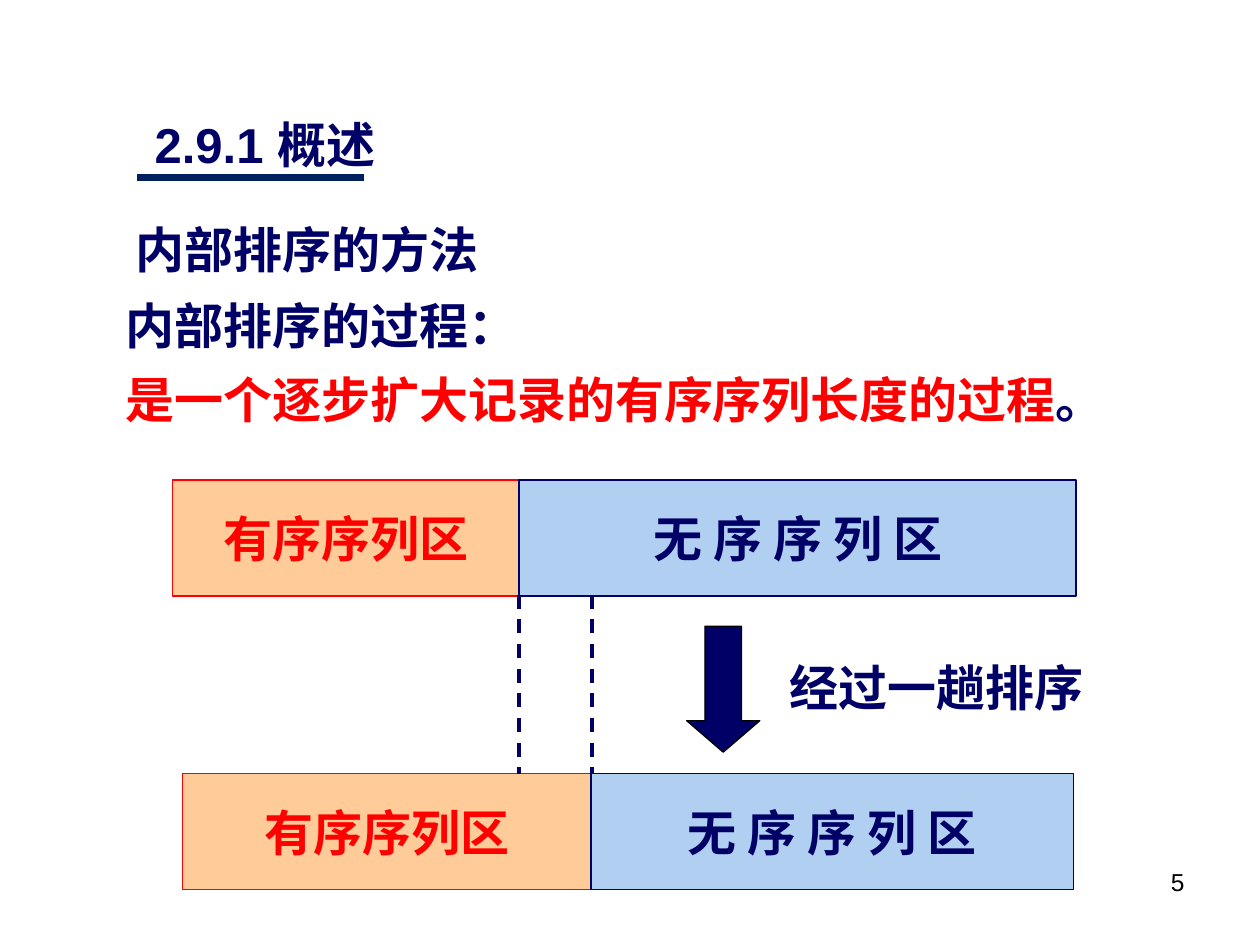
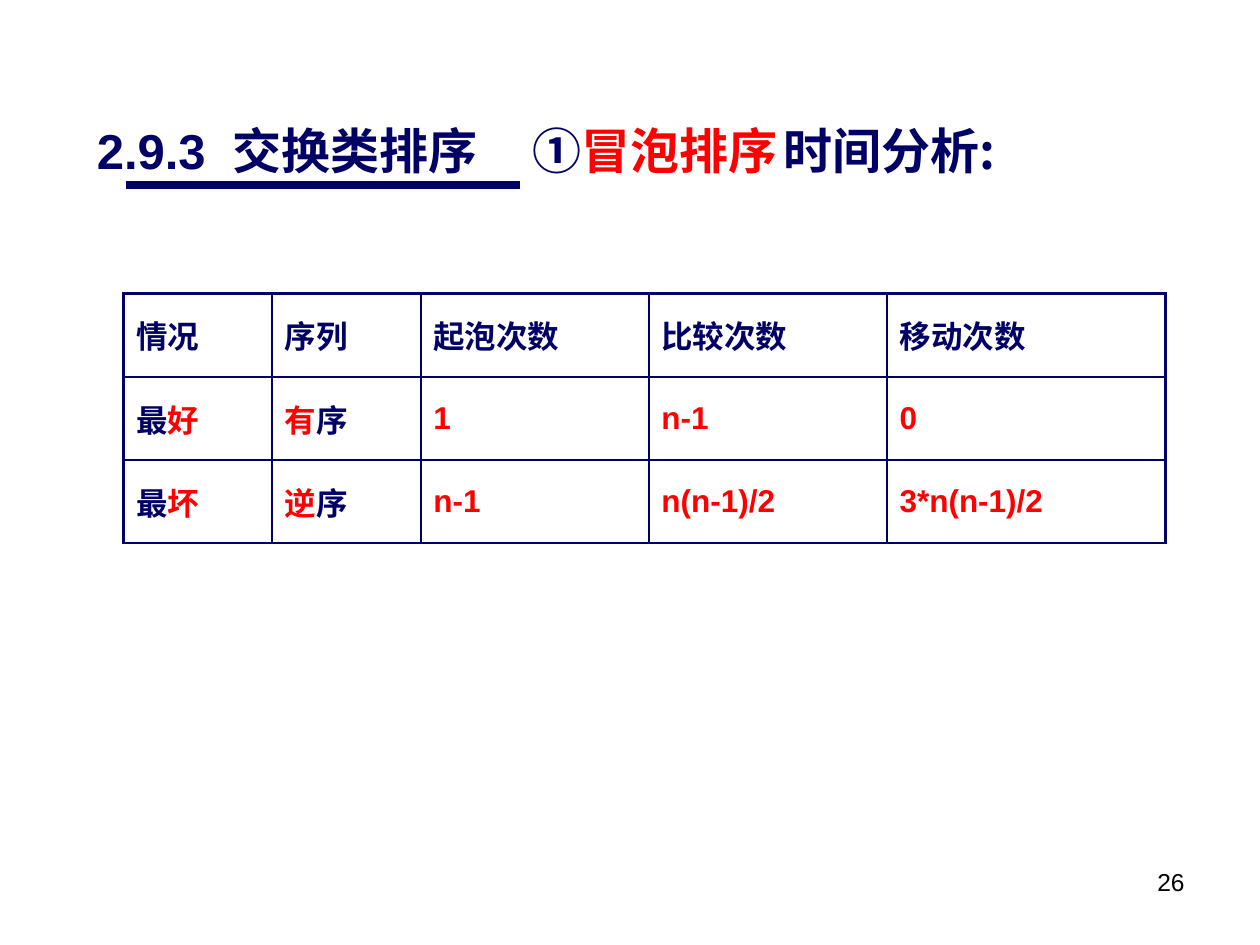
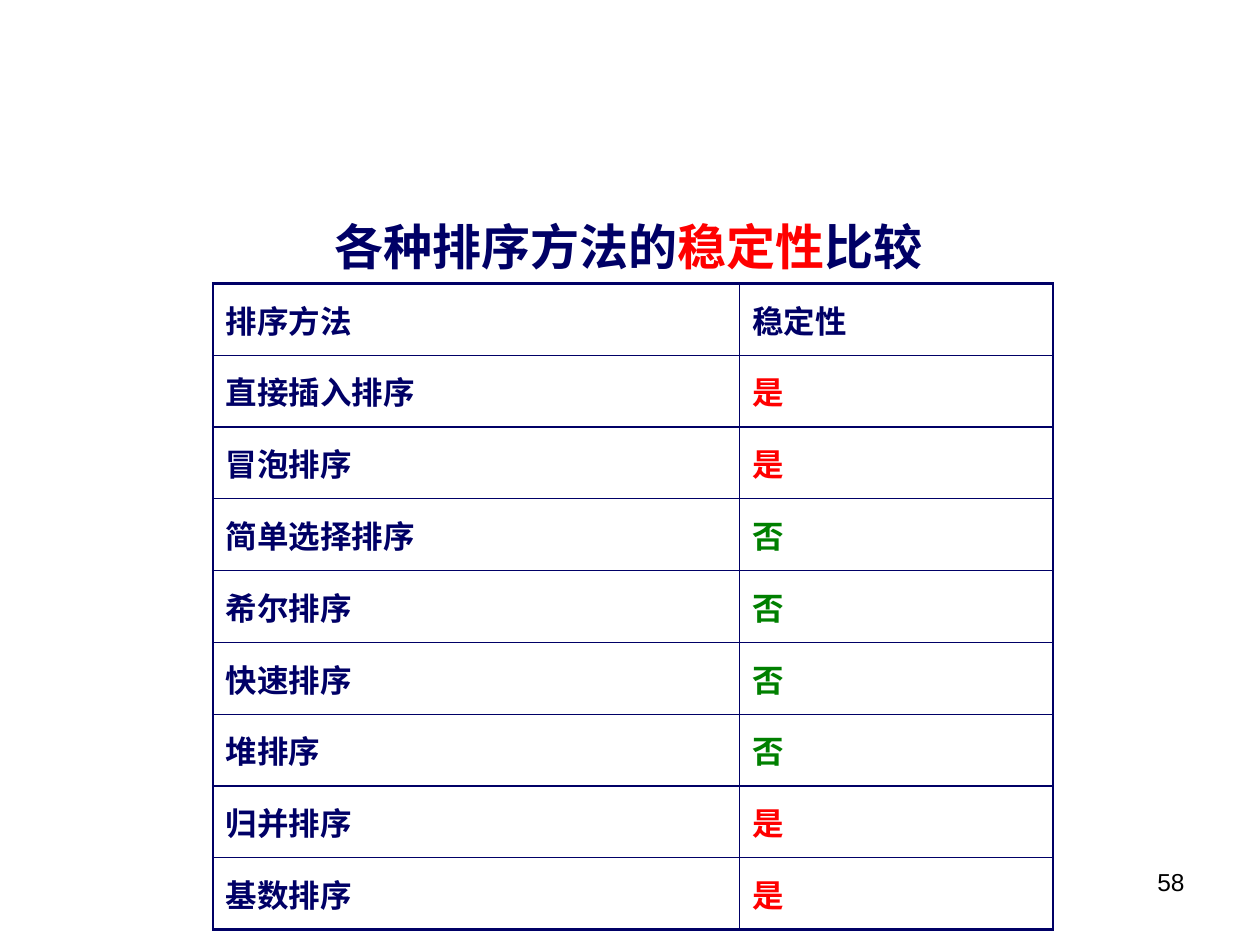
from lxml.etree import SubElement
from pptx import Presentation
from pptx.dml.color import RGBColor
from pptx.enum.dml import MSO_LINE
from pptx.enum.shapes import MSO_CONNECTOR, MSO_SHAPE
from pptx.enum.text import MSO_ANCHOR, PP_ALIGN
from pptx.oxml import parse_xml
from pptx.oxml.ns import nsdecls, qn
from pptx.util import Inches, Pt

HUES = {
    "navy": "000066",
    "rule": "002060",
    "red": "FF0000",
    "green": "008000",
    "peach": "FFCC99",
    "sky": "B1CFF1",
    "black": "000000",
}
ROMAN = "Times New Roman"
SANS = "Noto Sans CJK SC"


def hue(name):
    return RGBColor.from_string(HUES[name])


def place(*sides):
    return [Inches(side) for side in sides]


def write(para, text, tint="navy", size=28, face="Arial", bold=True):
    runs = [(text, tint)] if isinstance(text, str) else text
    font = para.font
    font.name, font.size, font.bold = face, Pt(size), bold
    mixed = len(runs) > 1
    for words, shade in runs:
        run = para.add_run()
        run.text = words
        target = run.font if mixed else font
        target.color.rgb = hue(shade)


def add_text(slide, spot, lines, space=None, align=None, anchor=MSO_ANCHOR.TOP, **style):
    frame = slide.shapes.add_textbox(*place(*spot)).text_frame
    frame.word_wrap = True
    frame.vertical_anchor = anchor
    for i, line in enumerate(lines):
        para = frame.add_paragraph() if i else frame.paragraphs[0]
        para.alignment = align
        para.line_spacing = space
        write(para, line, **style)


def add_shape(slide, kind, spot, fill, edge):
    shape = slide.shapes.add_shape(kind, *place(*spot))
    shape.shadow.inherit = False
    shape.fill.solid()
    shape.fill.fore_color.rgb = hue(fill)
    shape.line.color.rgb = hue(edge)
    shape.line.width = Pt(0.75)
    return shape


def add_zone(slide, spot, text, fill, tint, face):
    shape = add_shape(slide, MSO_SHAPE.RECTANGLE, spot, fill, tint)
    frame = shape.text_frame
    frame.word_wrap = False
    frame.vertical_anchor = MSO_ANCHOR.MIDDLE
    para = frame.paragraphs[0]
    para.alignment = PP_ALIGN.CENTER
    write(para, text, tint, face=face)


def add_bar(slide, left, top, split, right):
    high = 0.92
    add_zone(slide, (left, top, split - left, high), "有序序列区", "peach", "red", ROMAN)
    add_zone(slide, (split, top, right - split, high), "无 序 序 列 区", "sky", "navy", SANS)


def add_line(slide, start, end, tint="navy", width=4.25, dash=None):
    line = slide.shapes.add_connector(MSO_CONNECTOR.STRAIGHT, *place(*start, *end))
    line.line.color.rgb = hue(tint)
    line.line.width = Pt(width)
    line.line.dash_style = dash
    SubElement(line._element.spPr, qn("a:effectLst"))


def add_edges(cell, widths):
    props = cell._tc.get_or_add_tcPr()
    for i, (side, width) in enumerate(zip("LRTB", widths)):
        props.insert(i, parse_xml(
            f'<a:ln{side} {nsdecls("a")} w="{Pt(width)}"><a:solidFill>'
            f'<a:srgbClr val="{HUES["navy"]}"/></a:solidFill></a:ln{side}>'
        ))


def add_grid(slide, left, top, cols, high, rows, inner, outer=1.47):
    last, end = len(rows) - 1, len(cols) - 1
    spot = place(left, top, sum(cols), high * len(rows))
    table = slide.shapes.add_table(len(rows), len(cols), *spot).table
    table.first_row = table.horz_banding = False
    for col, wide in zip(table.columns, cols):
        col.width = Inches(wide)
    for r, row in enumerate(rows):
        table.rows[r].height = Inches(high)
        for c, text in enumerate(row):
            cell = table.cell(r, c)
            cell.fill.background()
            cell.vertical_anchor = MSO_ANCHOR.MIDDLE
            write(cell.text_frame.paragraphs[0], text, size=18)
            rims = c == 0, c == end, r == 0, r == last
            add_edges(cell, [outer if rim else inner for rim in rims])


def add_page(deck, number):
    slide = deck.slides.add_slide(deck.slide_layouts[6])
    add_text(slide, (7.17, 6.83, 2.33, 0.52), [str(number)], align=PP_ALIGN.RIGHT,
             tint="black", size=14, bold=False)
    return slide


def add_intro(deck):
    slide = add_page(deck, 5)
    steps = ["内部排序的过程：", [("是一个逐步扩大记录的有序序列长度的过程", "red"), ("。", "navy")]]
    add_text(slide, (0.9, 2.18, 8.11, 1.27), steps, space=1.25, face=ROMAN)
    add_text(slide, (6.17, 5.17, 2.77, 0.57), ["经过一趟排序"], face=ROMAN)
    add_bar(slide, 1.37, 3.81, 4.12, 8.54)
    add_bar(slide, 1.45, 6.14, 4.69, 8.52)
    arrow = add_shape(slide, MSO_SHAPE.DOWN_ARROW, (5.45, 4.97, 0.58, 1), "navy", "black")
    arrow.adjustments[1] = 0.43
    for x in (4.12, 4.7):
        add_line(slide, (x, 4.72), (x, 6.14), width=2, dash=MSO_LINE.DASH)
    add_text(slide, (0.98, 1.7, 3.15, 0.56), ["内部排序的方法"], anchor=MSO_ANCHOR.BOTTOM)
    add_text(slide, (1.13, 0.86, 3, 0.57), ["2.9.1 概述"])
    add_line(slide, (1.09, 1.41), (2.89, 1.41), "rule")


def add_bubble(deck):
    slide = add_page(deck, 26)
    top, high = 0.91, 0.57
    add_text(slide, (0.67, top, 3.39, high), ["2.9.3  交换类排序"])
    add_line(slide, (1, 1.47), (4.13, 1.47))
    add_text(slide, (4.13, top, 2.28, high), [[("①", "navy"), ("冒泡排序", "red")]])
    add_text(slide, (6.12, top, 2.08, high), ["时间分析:"], face=SANS)
    cases = [
        ([("最", "navy"), ("好", "red")], [("有", "red"), ("序", "navy")], "1", "n-1", "0"),
        ([("最", "navy"), ("坏", "red")], [("逆", "red"), ("序", "navy")],
         "n-1", "n(n-1)/2", "3*n(n-1)/2"),
    ]
    rows = [["情况", "序列", "起泡次数", "比较次数", "移动次数"]]
    for case in cases:
        rows.append([*case[:2], *([(cost, "red")] for cost in case[2:])])
    add_grid(slide, 0.98, 2.33, [1.18, 1.18, 1.81, 1.89, 2.21], 0.66, rows, 1.08)


def add_stable(deck):
    slide = add_page(deck, 58)
    title = [("各种排序方法的", "navy"), ("稳定性", "red"), ("比较", "navy")]
    add_text(slide, (2.56, 1.55, 5.28, 0.68), [title], space=1.25)
    sorts = [
        ("直接插入排序", True),
        ("冒泡排序", True),
        ("简单选择排序", False),
        ("希尔排序", False),
        ("快速排序", False),
        ("堆排序", False),
        ("归并排序", True),
        ("基数排序", True),
    ]
    rows = [["排序方法", "稳定性"]]
    for name, stable in sorts:
        rows.append([name, [("是", "red") if stable else ("否", "green")]])
    add_grid(slide, 1.69, 2.25, [4.18, 2.49], 0.57, rows, 0.75)


def main():
    deck = Presentation()
    deck.slide_width, deck.slide_height = place(10, 7.5)
    add_intro(deck)
    add_bubble(deck)
    add_stable(deck)
    deck.save("out.pptx")


if __name__ == "__main__":
    main()
